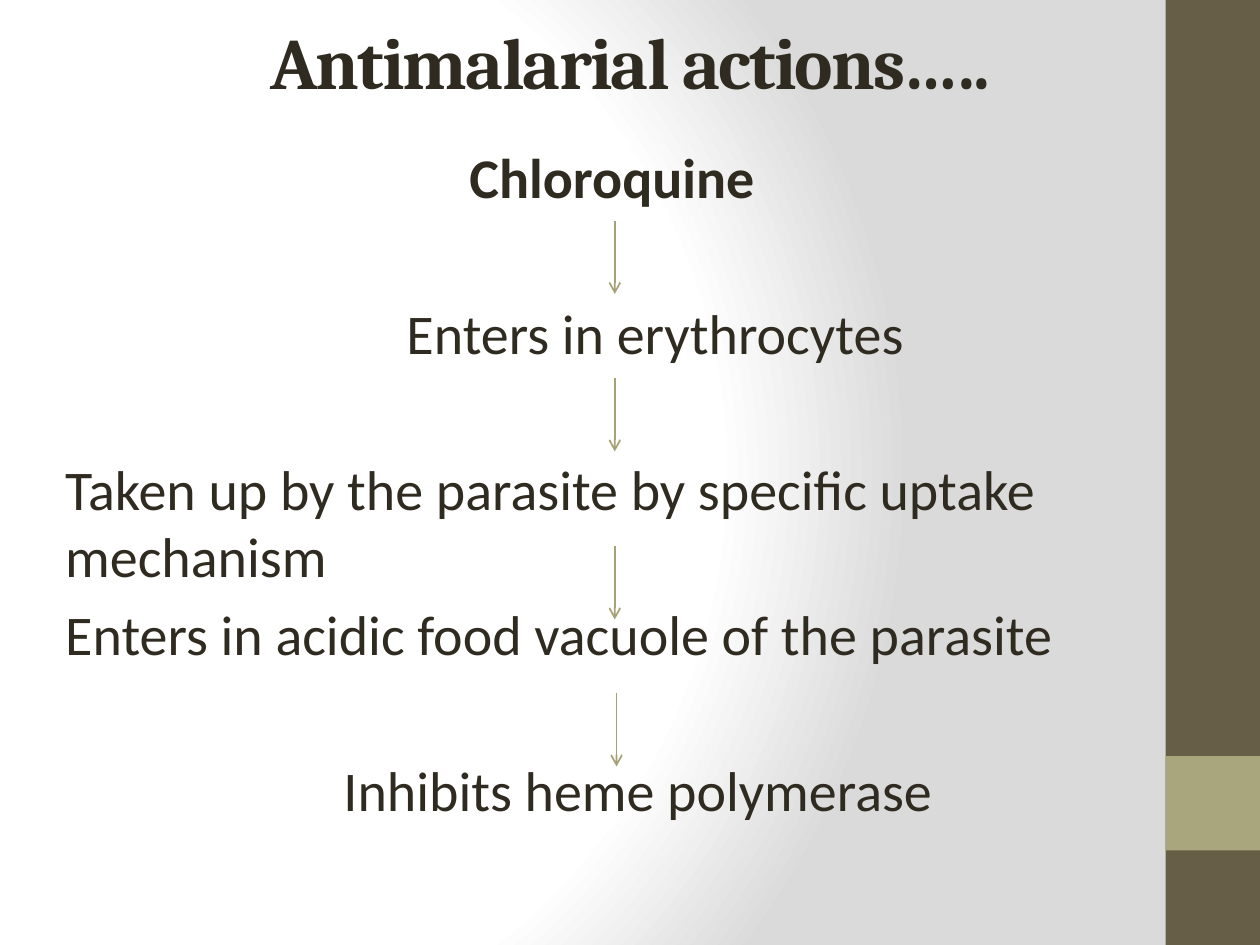
from pptx import Presentation
from pptx.dml.color import RGBColor as RGB
from pptx.enum.shapes import MSO_CONNECTOR as CONN, MSO_SHAPE as SHAPE
from pptx.enum.text import MSO_ANCHOR as ANCHOR, PP_ALIGN as ALIGN
from pptx.oxml import parse_xml
from pptx.oxml.ns import nsdecls, qn
from pptx.util import Pt

DARK = RGB(0x67, 0x5E, 0x47)
SAGE = RGB(0xA9, 0xA5, 0x7C)
LINE = RGB(0xA6, 0xA2, 0x78)
INK = RGB(0x2F, 0x2B, 0x20)

TITLE = "Antimalarial actions….."
NEAR, FAR = 6, 50.7
STEPS = [
    ("Chloroquine", 231, 0, True),
    ("Enters in erythrocytes", 195, FAR, False),
    ("Taken up by the parasite by specific uptake mechanism", 0, FAR, False),
    ("Enters in acidic food vacuole of the parasite", 0, NEAR, False),
    ("Inhibits heme polymerase", 159, FAR, False),
]
ARROWS = [(351.3, 126), (351.3, 216), (351.3, 312), (352.3, 396)]
DROP = 42
BANDS = [(0, 540, DARK), (432, 54, SAGE)]
STOPS = [(0, "FFFFFF"), (75, "FFFFFF"), (100, "DADADA")]


def paint(slide):
    slide.background.fill.gradient()
    old = next(slide.element.iter(qn("a:gradFill")))
    stops = "".join(
        f'<a:gs pos="{at * 1000}"><a:srgbClr val="{tone}"/></a:gs>'
        for at, tone in STOPS)
    new = parse_xml(
        f'<a:gradFill {nsdecls("a")} rotWithShape="1"><a:gsLst>{stops}</a:gsLst>'
        '<a:path path="circle"><a:fillToRect l="20000" t="50000" '
        'r="100000" b="50000"/></a:path></a:gradFill>')
    old.getparent().replace(old, new)


def style(font, name, size, bold):
    font.name, font.size, font.bold = name, Pt(size), bold
    font.color.rgb = INK


def band(slide, top, high, tone):
    bar = slide.shapes.add_shape(SHAPE.RECTANGLE, Pt(666), Pt(top), Pt(54), Pt(high))
    bar.shadow.inherit = False
    bar.fill.solid()
    bar.fill.fore_color.rgb = tone
    bar.line.fill.background()


def head(slide):
    box = slide.shapes.title
    box.left, box.top, box.width, box.height = Pt(54), Pt(6), Pt(612), Pt(57.6)
    frame = box.text_frame
    frame.text = TITLE
    frame.vertical_anchor = ANCHOR.MIDDLE
    para = frame.paragraphs[0]
    para.alignment = ALIGN.CENTER
    run = para.runs[0]
    style(run.font, "Cambria", 41.4, True)
    run.font._element.set("spc", "-100")


def body(slide):
    box = slide.shapes.add_textbox(Pt(30.2), Pt(78), Pt(653.8), Pt(437.8))
    frame = box.text_frame
    frame.word_wrap = True
    for i, (text, left, gap, bold) in enumerate(STEPS):
        para = frame.add_paragraph() if i else frame.paragraphs[0]
        para.text = text
        para.space_before = Pt(gap)
        para._p.get_or_add_pPr().set("marL", str(Pt(left)))
        style(para.runs[0].font, "Calibri", 32, bold)


def arrow(slide, x, top):
    link = slide.shapes.add_connector(CONN.STRAIGHT, Pt(x), Pt(top), Pt(x), Pt(top + DROP))
    link.line.color.rgb = LINE
    link.line.width = Pt(1)
    link.line._get_or_add_ln().append(
        parse_xml(f'<a:tailEnd {nsdecls("a")} type="arrow"/>'))
    link._element.spPr.append(parse_xml(f'<a:effectLst {nsdecls("a")}/>'))


def main():
    deck = Presentation()
    deck.slide_width, deck.slide_height = Pt(720), Pt(540)
    slide = deck.slides.add_slide(deck.slide_layouts[5])
    paint(slide)
    for item in BANDS:
        band(slide, *item)
    head(slide)
    body(slide)
    for item in ARROWS:
        arrow(slide, *item)
    deck.save("out.pptx")


if __name__ == "__main__":
    main()
